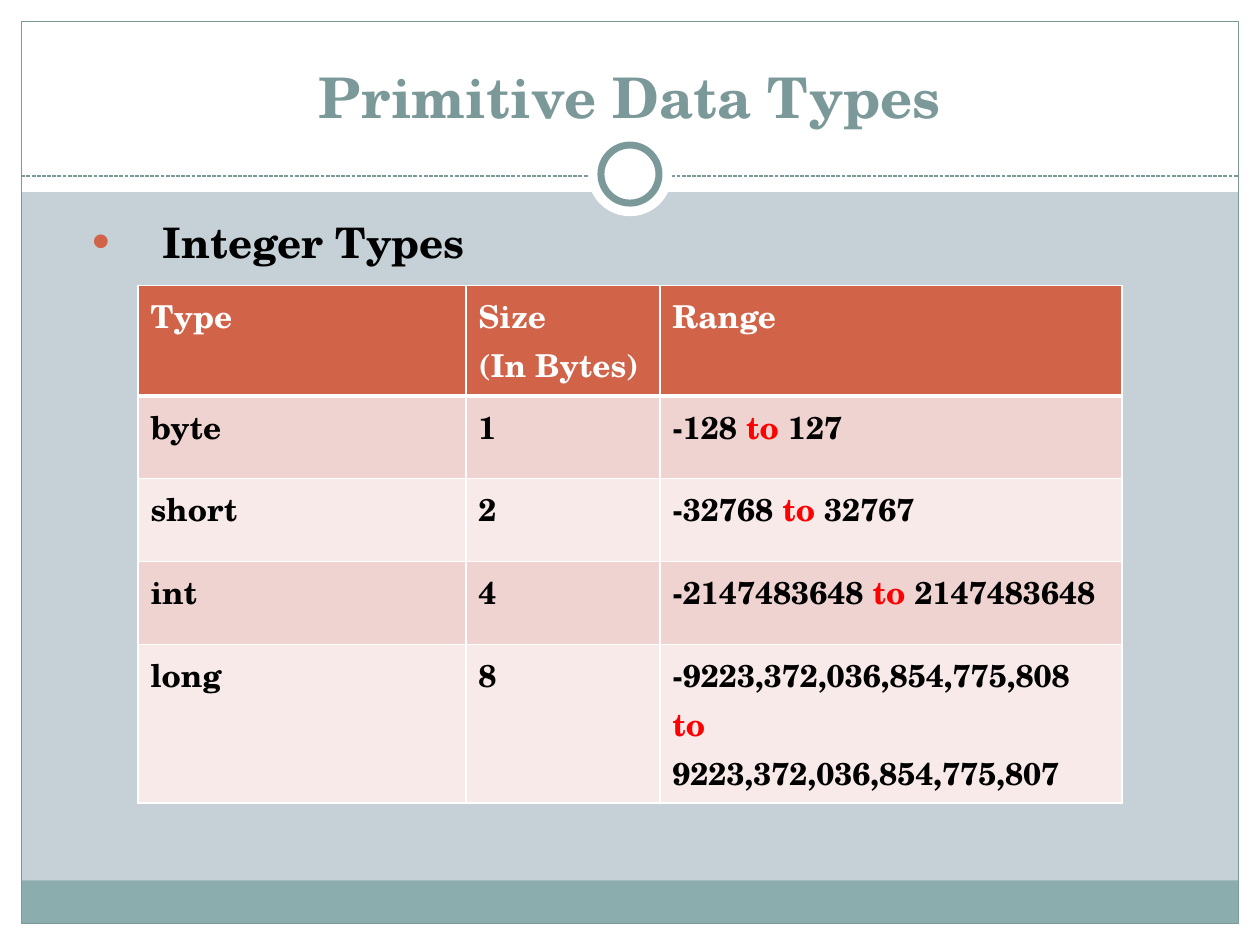
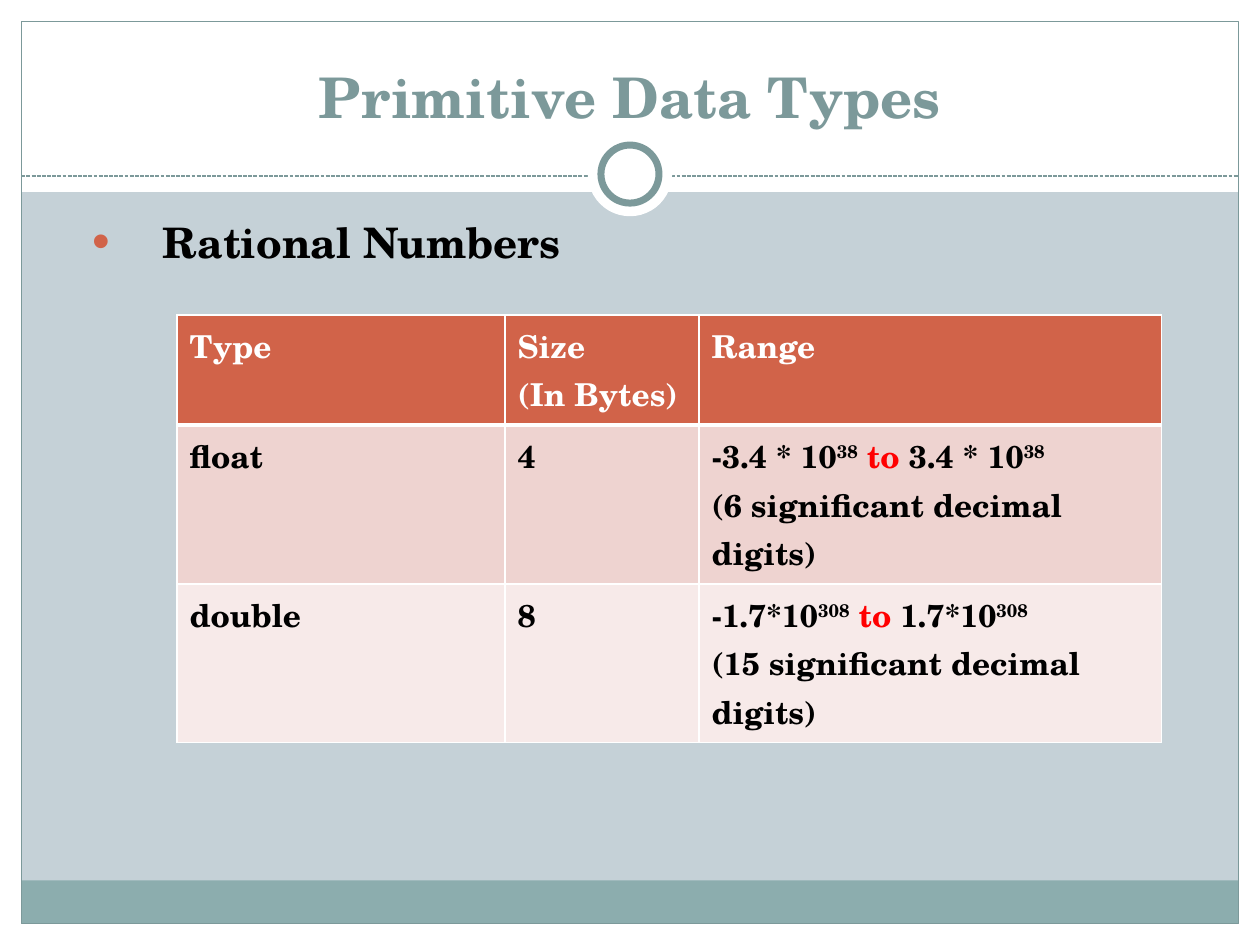
from dataclasses import dataclass

from lxml.etree import SubElement
from pptx import Presentation
from pptx.dml.color import RGBColor
from pptx.enum.dml import MSO_LINE_DASH_STYLE as Dash
from pptx.enum.shapes import MSO_CONNECTOR as Connector, MSO_SHAPE as Shape
from pptx.enum.text import MSO_ANCHOR as Anchor, PP_ALIGN as Align
from pptx.oxml.ns import qn
from pptx.util import Cm, Pt


@dataclass(frozen=True)
class Theme:
    font: str = "TeX Gyre Schola"
    backdrop: str = "C5D1D7"
    white: str = "FFFFFF"
    black: str = "000000"
    slate: str = "7C999A"
    footer: str = "8CADAE"
    accent: str = "D16349"
    highlight: str = "FF0000"
    stripes: tuple = ("EED3D0", "F7EAE9")
    title_size: int = 32
    topic_size: int = 24
    cell_size: int = 18


THEME = Theme()
WIDTH, HEIGHT = 25.4, 19.05
MARGIN = 0.43
HEADER_HEIGHT = 3.87
RULE_Y = 3.55
FOOTER_TOP = 17.75
RING_CENTER = (WIDTH / 2, 3.51)
COLUMN_WIDTHS = (6.61, 3.91, 9.32)
ONE_LINE, TWO_LINES, THREE_LINES = 1.67, 2.22, 3.2

TO = ("to", {"color": THEME.highlight})
HEADINGS = ("Type", ["Size", "(In Bytes)"], "Range")


def superscript(text):
    return text, {"baseline": 30}


INTEGER_ROWS = [
    ("byte", "1", [["-128 ", TO, " 127"]]),
    ("short", "2", [["-32768 ", TO, " 32767"]]),
    ("int", "4", [["-2147483648 ", TO, " 2147483648"]]),
    ("long", "8", ["-9223,372,036,854,775,808", [TO], "9223,372,036,854,775,807"]),
]
INTEGER_HEIGHTS = (ONE_LINE, ONE_LINE, ONE_LINE, THREE_LINES)
RATIONAL_ROWS = [
    ("float", "4", [
        ["-3.4 * 10", superscript("38"), " ", TO, " 3.4 * 10", superscript("38")],
        "(6 significant decimal digits)",
    ]),
    ("double", "8", [
        ["-1.7*10", superscript("308"), " ", TO, " 1.7*10", superscript("308")],
        "(15 significant decimal digits)",
    ]),
]
RATIONAL_HEIGHTS = (THREE_LINES, THREE_LINES)


def rgb(color):
    return RGBColor.from_string(color)


def write(paragraph, text, size, color=THEME.black, bold=True, baseline=0):
    run = paragraph.add_run()
    run.text = text
    run.font.name = THEME.font
    run.font.size = Pt(size)
    run.font.bold = bold
    run.font.color.rgb = rgb(color)
    if baseline:
        run.font._element.set("baseline", str(baseline * 1000))


def add_panel(slide, left, top, width, height, fill=None, line=None, weight=0.75,
              outline=Shape.RECTANGLE):
    panel = slide.shapes.add_shape(outline, Cm(left), Cm(top), Cm(width), Cm(height))
    panel.shadow.inherit = False
    if fill:
        panel.fill.solid()
        panel.fill.fore_color.rgb = rgb(fill)
    else:
        panel.fill.background()
    if line:
        panel.line.color.rgb = rgb(line)
        panel.line.width = Pt(weight)
    else:
        panel.line.fill.background()


def add_disc(slide, center, diameter, **style):
    left, top = (middle - diameter / 2 for middle in center)
    add_panel(slide, left, top, diameter, diameter, outline=Shape.OVAL, **style)


def add_dashed_rule(slide, y):
    rule = slide.shapes.add_connector(
        Connector.STRAIGHT, Cm(MARGIN), Cm(y), Cm(WIDTH - MARGIN), Cm(y))
    rule.line.color.rgb = rgb(THEME.slate)
    rule.line.width = Pt(0.75)
    rule.line.dash_style = Dash.SQUARE_DOT
    SubElement(rule._element.spPr, qn("a:effectLst"))


def add_text_frame(slide, left, top, width, height, anchor=Anchor.TOP):
    frame = slide.shapes.add_textbox(Cm(left), Cm(top), Cm(width), Cm(height)).text_frame
    frame.word_wrap = True
    frame.vertical_anchor = anchor
    return frame


def add_title(slide, text):
    frame = add_text_frame(slide, 0.85, 0.64, 23.7, 2.1, anchor=Anchor.BOTTOM)
    paragraph = frame.paragraphs[0]
    paragraph.alignment = Align.CENTER
    write(paragraph, text, THEME.title_size, color=THEME.slate)


def add_bullet(paragraph, indent, hanging):
    properties = paragraph._p.get_or_add_pPr()
    properties.set("marL", str(Cm(indent)))
    properties.set("indent", str(-Cm(hanging)))
    bullet_color = SubElement(properties, qn("a:buClr"))
    SubElement(bullet_color, qn("a:srgbClr"), val=THEME.accent)
    SubElement(properties, qn("a:buSzPct"), val="120000")
    SubElement(properties, qn("a:buFont"), typeface="Arial")
    SubElement(properties, qn("a:buChar"), char="•")


def add_topic(slide, text):
    paragraph = add_text_frame(slide, 0.85, 4.23, 23.62, 13.5).paragraphs[0]
    add_bullet(paragraph, 2.18, 1.42)
    write(paragraph, text, THEME.topic_size)


def set_borders(cell, **weights):
    properties = cell._tc.get_or_add_tcPr()
    for side in "LRTB":
        border = SubElement(properties, qn(f"a:ln{side}"), w=str(Pt(weights.get(side, 1))))
        fill = SubElement(border, qn("a:solidFill"))
        SubElement(fill, qn("a:srgbClr"), val=THEME.white)


def fill_cell(cell, content, background, color):
    cell.fill.solid()
    cell.fill.fore_color.rgb = rgb(background)
    lines = [content] if isinstance(content, str) else content
    for number, line in enumerate(lines):
        frame = cell.text_frame
        paragraph = frame.add_paragraph() if number else frame.paragraphs[0]
        for piece in [line] if isinstance(line, str) else line:
            text, style = (piece, {}) if isinstance(piece, str) else piece
            write(paragraph, text, THEME.cell_size, **{"color": color, **style})


def add_type_table(slide, left, top, type_rows, type_heights):
    rows = [HEADINGS, *type_rows]
    heights = [TWO_LINES, *type_heights]
    table = slide.shapes.add_table(
        len(rows), len(COLUMN_WIDTHS), Cm(left), Cm(top),
        Cm(sum(COLUMN_WIDTHS)), Cm(sum(heights))).table
    table.horz_banding = False
    for column, width in zip(table.columns, COLUMN_WIDTHS):
        column.width = Cm(width)
    for row_number, (contents, height) in enumerate(zip(rows, heights)):
        table.rows[row_number].height = Cm(height)
        is_heading = row_number == 0
        background = THEME.accent if is_heading else THEME.stripes[(row_number - 1) % 2]
        color = THEME.white if is_heading else THEME.black
        heavy_side = {0: {"B": 3}, 1: {"T": 3}}.get(row_number, {})
        for column_number, content in enumerate(contents):
            cell = table.cell(row_number, column_number)
            set_borders(cell, **heavy_side)
            fill_cell(cell, content, background, color)


def add_decor(slide):
    slide.background.fill.solid()
    slide.background.fill.fore_color.rgb = rgb(THEME.backdrop)
    inner_width = WIDTH - 2 * MARGIN
    footer_bottom = HEIGHT - MARGIN
    for edge in (
        (0, footer_bottom, WIDTH, MARGIN),
        (0, 0, WIDTH, HEADER_HEIGHT),
        (0, 0, MARGIN, HEIGHT),
        (WIDTH - MARGIN, 0, MARGIN, HEIGHT),
    ):
        add_panel(slide, *edge, fill=THEME.white)
    add_panel(slide, MARGIN, FOOTER_TOP, inner_width, footer_bottom - FOOTER_TOP,
              fill=THEME.footer)
    add_panel(slide, MARGIN, MARGIN, inner_width, HEIGHT - 2 * MARGIN, line=THEME.slate)
    add_dashed_rule(slide, RULE_Y)
    add_disc(slide, RING_CENTER, 1.7, fill=THEME.white)
    add_disc(slide, RING_CENTER, 1.17, fill=THEME.white, line=THEME.slate, weight=4)


def add_type_slide(deck, topic, table_left, table_top, type_rows, type_heights):
    slide = deck.slides.add_slide(deck.slide_layouts[6])
    add_decor(slide)
    add_title(slide, "Primitive Data Types")
    add_topic(slide, topic)
    add_type_table(slide, table_left, table_top, type_rows, type_heights)


def main():
    deck = Presentation()
    deck.slide_width, deck.slide_height = Cm(WIDTH), Cm(HEIGHT)
    add_type_slide(deck, "Integer Types", 2.78, 5.76, INTEGER_ROWS, INTEGER_HEIGHTS)
    add_type_slide(deck, "Rational Numbers", 3.57, 6.35, RATIONAL_ROWS, RATIONAL_HEIGHTS)
    deck.save("out.pptx")


if __name__ == "__main__":
    main()
